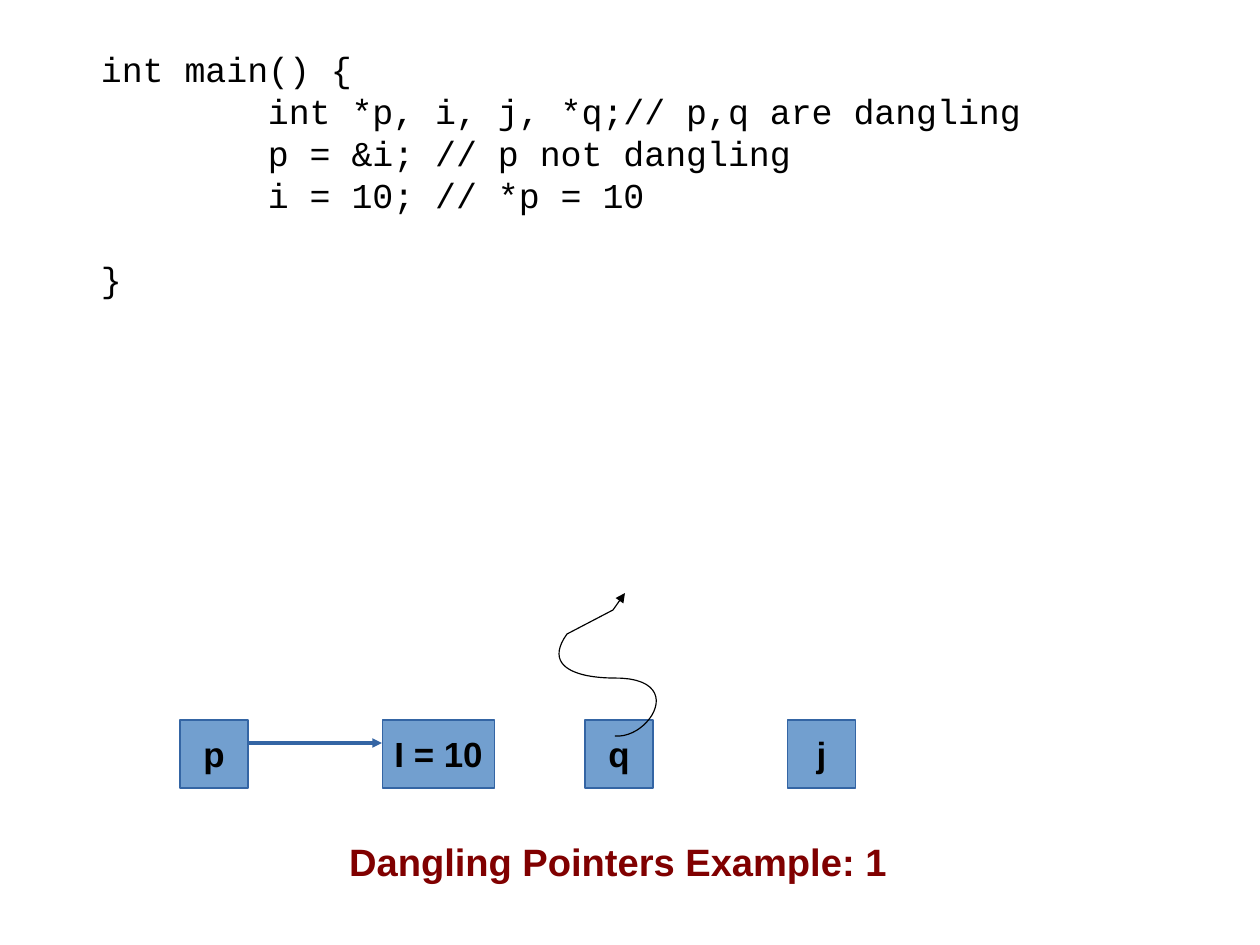
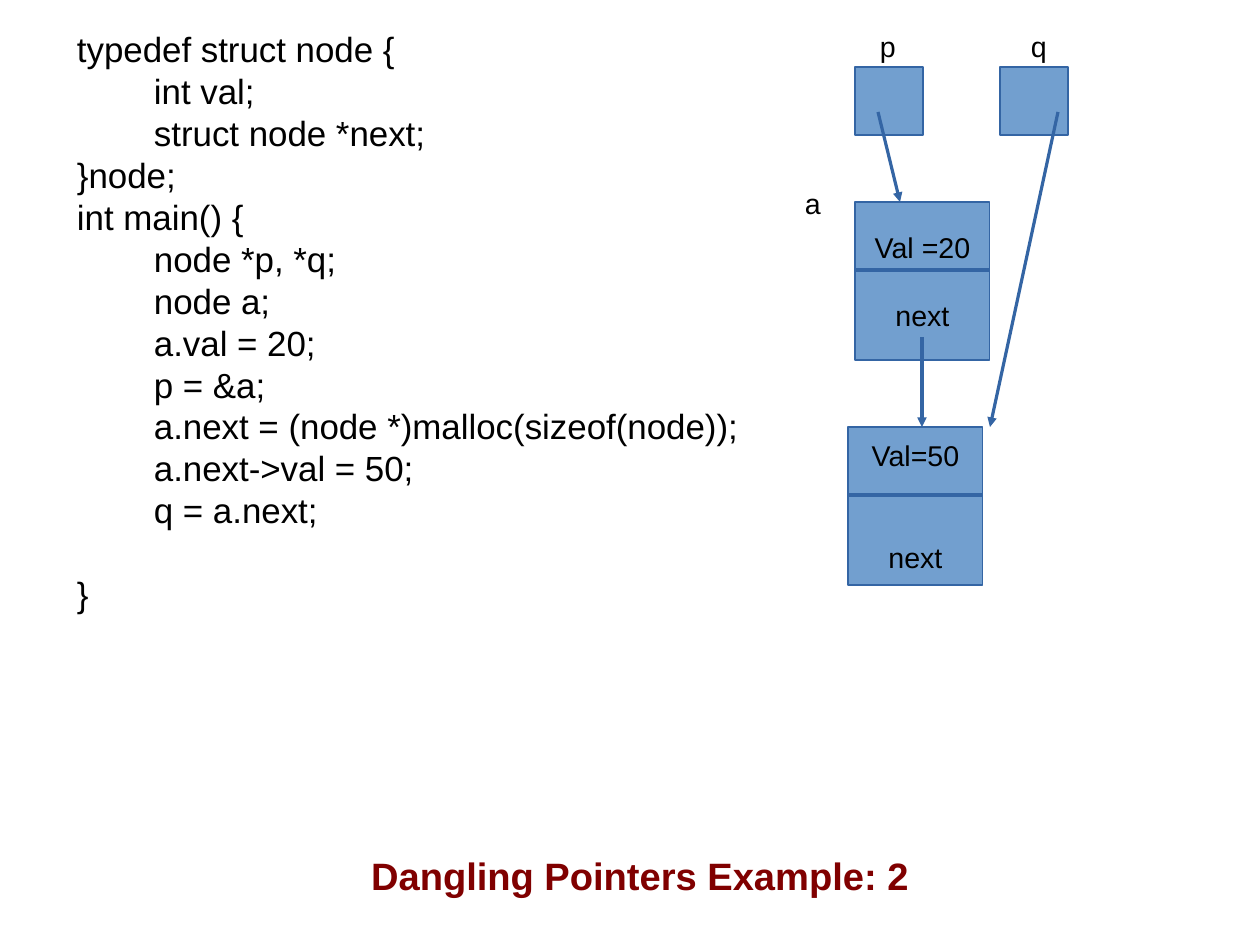
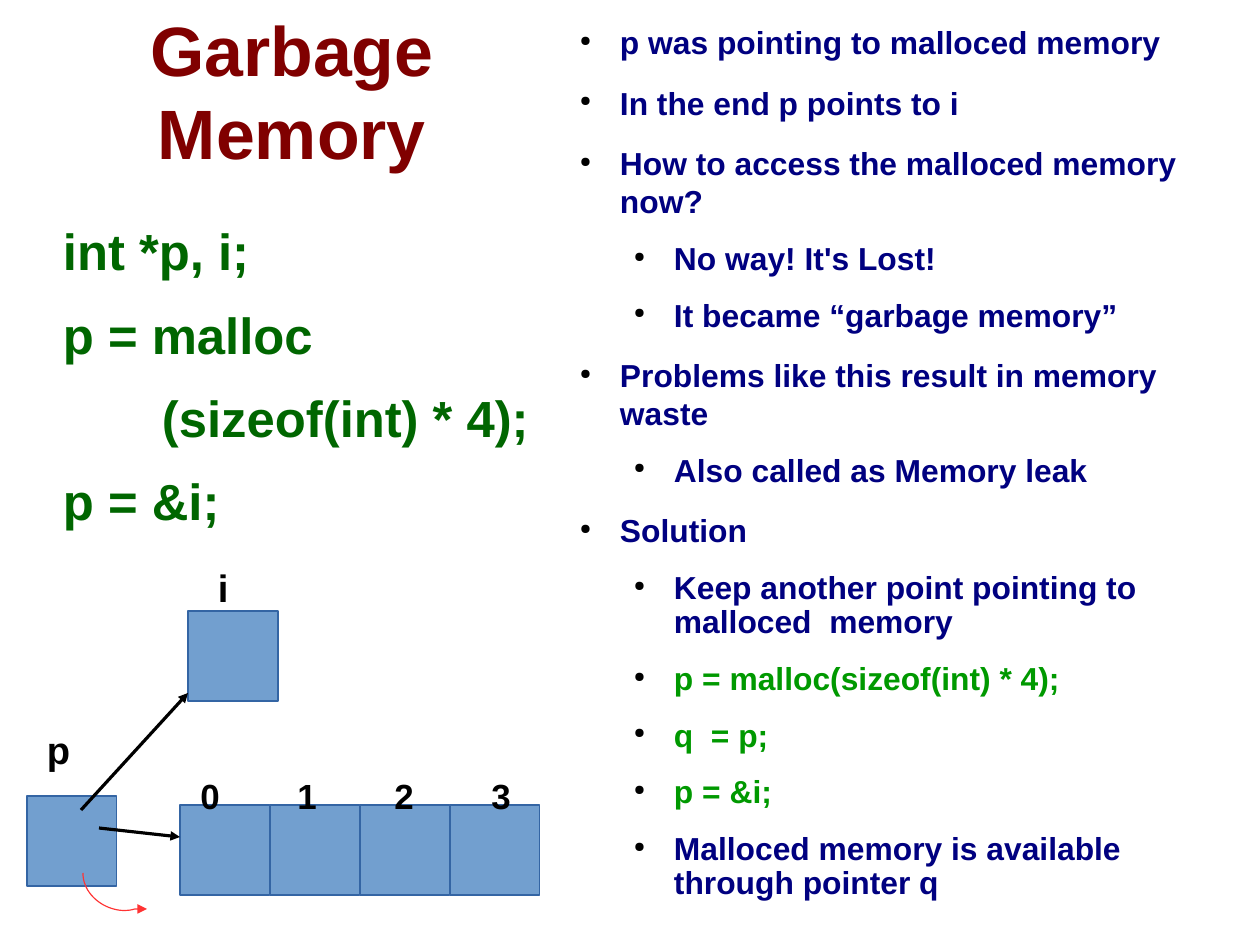
import dataclasses

import lxml.etree
import pptx
import pptx.dml.color
import pptx.enum.shapes
import pptx.enum.text
import pptx.oxml.ns
import pptx.util

PX = 8000  # EMU in one px
SLIDE_WIDTH, SLIDE_HEIGHT = 1260, 945

RGBColor = pptx.dml.color.RGBColor
BLACK = RGBColor(0x00, 0x00, 0x00)
MAROON = RGBColor(0x80, 0x00, 0x00)
NAVY = RGBColor(0x00, 0x00, 0x80)
DARK_GREEN = RGBColor(0x00, 0x66, 0x00)
GREEN = RGBColor(0x00, 0x99, 0x00)
RED = RGBColor(0xFF, 0x33, 0x33)
BOX_FILL = RGBColor(0x72, 0x9F, 0xCF)
BOX_LINE = RGBColor(0x34, 0x65, 0xA4)

LEFT = pptx.enum.text.PP_ALIGN.LEFT
CENTER = pptx.enum.text.PP_ALIGN.CENTER
TOP = pptx.enum.text.MSO_ANCHOR.TOP
MIDDLE = pptx.enum.text.MSO_ANCHOR.MIDDLE

LINE_HEIGHT = 1.2  # line pitch as a share of the text size
INSET = (11, 6)


@dataclasses.dataclass
class Line:
    """One paragraph; skip is the number of line heights left free above it."""
    text: str
    indent: int = 0
    skip: int = 0
    color: RGBColor = None
    hanging: int = 0
    tight: float = 1.0


def emu(*lengths):
    return [pptx.util.Emu(round(length * PX)) for length in lengths]


def append_xml(parent, tag, **attributes):
    return lxml.etree.SubElement(parent, pptx.oxml.ns.qn(tag), attributes)


def write_text(shape, lines, size=22, font="Arial", color=BLACK, bold=False,
               align=LEFT, anchor=TOP, inset=INSET, wrap=True, after=0):
    frame = shape.text_frame
    frame.word_wrap = wrap
    frame.vertical_anchor = anchor
    frame.margin_left, frame.margin_top = emu(*inset)
    frame.margin_right, frame.margin_bottom = emu(*inset)
    for index, line in enumerate(lines):
        paragraph = frame.paragraphs[0] if index == 0 else frame.add_paragraph()
        pitch = size * LINE_HEIGHT
        paragraph.alignment = align
        paragraph.line_spacing = pptx.util.Pt(pitch * line.tight)
        paragraph.space_before = pptx.util.Pt(pitch * line.skip)
        paragraph.space_after = pptx.util.Pt(after)
        run = paragraph.add_run()
        run.text = line.text
        run.font.size = pptx.util.Pt(size)
        run.font.name = font
        run.font.bold = bold
        run.font.color.rgb = line.color or color
        set_indent(paragraph, line)


def set_indent(paragraph, line):
    properties = paragraph._p.get_or_add_pPr()
    properties.set("marL", str(line.indent * PX))
    properties.set("indent", str(-line.hanging * PX))
    if line.hanging:
        bullet_color = append_xml(properties, "a:buClr")
        append_xml(bullet_color, "a:srgbClr", val=str(BLACK))
        append_xml(properties, "a:buSzPct", val="45000")
        append_xml(properties, "a:buChar", char="●")


def add_text(slide, left, top, width, height, lines, **text_format):
    shape = slide.shapes.add_textbox(*emu(left, top, width, height))
    write_text(shape, lines, **text_format)


def add_label(slide, left, top, text, **text_format):
    add_text(slide, left, top, 60, 44, [Line(text)], **text_format)


def add_caption(slide, center, top, text):
    add_text(slide, center - 280, top, 560, 54, [Line(text)],
             size=24, bold=True, color=MAROON, align=CENTER)


def add_box(slide, left, top, width, height, lines=(), **text_format):
    """A memory cell, with centred text if it has any."""
    shape = slide.shapes.add_shape(
        pptx.enum.shapes.MSO_SHAPE.RECTANGLE, *emu(left, top, width, height))
    shape.shadow.inherit = False
    shape.fill.solid()
    shape.fill.fore_color.rgb = BOX_FILL
    style_line(shape, BOX_LINE)
    write_text(shape, lines, align=CENTER, anchor=MIDDLE, wrap=False,
               **text_format)


def style_line(shape, color, arrow=False):
    shape.line.color.rgb = color
    shape.line.width = pptx.util.Pt(0)
    if arrow:
        outline = shape.element.spPr.find(pptx.oxml.ns.qn("a:ln"))
        append_xml(outline, "a:tailEnd", type="triangle")


def add_line(slide, start, end, color=BOX_LINE, arrow=True):
    connector = slide.shapes.add_connector(
        pptx.enum.shapes.MSO_CONNECTOR.STRAIGHT, *emu(*start, *end))
    style_line(connector, color, arrow)
    append_xml(connector.element.spPr, "a:effectLst")


def curve_points(start, control_1, control_2, end, steps=24):
    """Points along a cubic curve, without its start."""
    points = []
    for step in range(1, steps + 1):
        t = step / steps
        weights = ((1 - t) ** 3, 3 * t * (1 - t) ** 2, 3 * t * t * (1 - t), t ** 3)
        corners = (start, control_1, control_2, end)
        points.append(tuple(
            sum(weight * corner[axis] for weight, corner in zip(weights, corners))
            for axis in (0, 1)))
    return points


def add_curved_arrow(slide, points, color):
    builder = slide.shapes.build_freeform(*emu(*points[0]))
    builder.add_line_segments([emu(*point) for point in points[1:]], close=False)
    shape = builder.convert_to_shape()
    shape.shadow.inherit = False
    shape.fill.background()
    style_line(shape, color, arrow=True)


def build_first_example(slide):
    tab = 167
    add_text(slide, 90, 42, 1072, 450, [
        Line("int main() {"),
        Line("int *p, i, j, *q;// p,q are dangling", tab),
        Line("p = &i; // p not dangling", tab),
        Line("i = 10; // *p = 10", tab),
        Line("}", skip=1),
    ], font="Courier New")

    # Variables
    variables = (("p", 68), ("I = 10", 112), ("q", 68), ("j", 68))
    for index, (text, width) in enumerate(variables):
        add_box(slide, 180 + 202.5 * index, 720, width, 68, [Line(text)], bold=True)

    # Pointers: q is dangling, p points to i
    start, waist, neck = (615, 736), (613, 678), (567, 634)
    add_curved_arrow(slide, [
        start,
        *curve_points(start, (650, 739), (688, 677), waist),
        *curve_points(waist, (592, 678), (539, 673), neck),
        (613, 610), (625, 593),
    ], BLACK)
    add_line(slide, (248, 743), (382, 743))
    add_caption(slide, 618, 832, "Dangling Pointers Example: 1")


def build_second_example(slide):
    tab = 77
    add_text(slide, 66, 22, 700, 558, [
        Line("typedef struct node {"),
        Line("int val;", tab),
        Line("struct node *next;", tab),
        Line("}node;"),
        Line("int main() {"),
        Line("node *p, *q;", tab),
        Line("node a;", tab),
        Line("a.val = 20;", tab),
        Line("p = &a;", tab),
        Line("a.next = (node *)malloc(sizeof(node));", tab),
        Line("a.next->val = 50;", tab),
        Line("q = a.next;", tab),
        Line("}", skip=1),
    ])

    # Pointer variables
    for text, box_left, label_left in (("p", 855, 869), ("q", 1000, 1020)):
        add_box(slide, box_left, 67, 68, 68)
        add_label(slide, label_left, 23, text, size=18)
    add_label(slide, 794, 180, "a", size=18)

    # Nodes, each split into value and next
    for left, top, value, skip in ((855, 202, "Val =20", 1), (848, 427, "Val=50", 2)):
        add_box(slide, left, top, 135, 158,
                [Line(value), Line("next", skip=skip)], size=18)
        add_line(slide, (left, top + 68), (left + 135, top + 68), arrow=False)

    # Pointers
    add_line(slide, (878, 112), (900, 202))
    add_line(slide, (922, 337), (922, 427))
    add_line(slide, (1058, 112), (990, 427))
    add_caption(slide, 640, 846, "Dangling Pointers Example: 2")


def bullet(text, level=0, color=NAVY):
    return Line(text, indent=54 * (level + 1), color=color, hanging=40,
                tight=0.9 if level else 1.0)


def build_garbage_memory(slide):
    add_text(slide, 22, 1, 540, 178, [Line("Garbage Memory")], size=44, bold=True,
             color=MAROON, align=CENTER, anchor=MIDDLE, inset=(0, 0))
    add_text(slide, 63, 220, 553, 548, [
        Line("int *p, i;"),
        Line("p = malloc"),
        Line("(sizeof(int) * 4);", 99),
        Line("p = &i;"),
    ], size=32, bold=True, color=DARK_GREEN, inset=(0, 0), after=14.1)

    # Explanation
    add_text(slide, 566, 23, 668, 913, [
        bullet("p was pointing to malloced memory"),
        bullet("In the end p points to i"),
        bullet("How to access the malloced memory now?"),
        bullet("No way! It's Lost!", 1),
        bullet("It became “garbage memory”", 1),
        bullet("Problems like this result in memory waste"),
        bullet("Also called as Memory leak", 1),
        bullet("Solution"),
        bullet("Keep another point pointing to malloced  memory", 1),
        bullet("p = malloc(sizeof(int) * 4);", 1, GREEN),
        bullet("q  = p;", 1, GREEN),
        bullet("p = &i;", 1, GREEN),
        bullet("Malloced memory is available through pointer q", 1),
    ], size=20, bold=True, inset=(0, 0), after=14.1)

    # Variables and the allocated array
    cell = 90
    add_box(slide, 27, 796, cell, cell)
    add_label(slide, 36, 720, "p", size=24, bold=True)
    add_box(slide, 188, 611, cell, cell)
    add_label(slide, 207, 558, "i", size=24, bold=True)
    for index in range(4):
        add_box(slide, 180 + cell * index, 805, cell, cell)
    for index in range(4):
        add_label(slide, 180 + 97 * index, 769, str(index), bold=True, align=CENTER)

    # Pointers
    add_line(slide, (99, 828), (180, 837), BLACK)
    add_line(slide, (81, 810), (188, 693), BLACK)
    start = (83, 873)
    add_curved_arrow(slide, [
        start, *curve_points(start, (83, 898), (112, 916), (135, 909)), (147, 909),
    ], RED)


def main():
    presentation = pptx.Presentation()
    presentation.slide_width, presentation.slide_height = emu(SLIDE_WIDTH, SLIDE_HEIGHT)
    blank = presentation.slide_layouts[6]
    for build in (build_first_example, build_second_example, build_garbage_memory):
        build(presentation.slides.add_slide(blank))
    presentation.save("out.pptx")


if __name__ == "__main__":
    main()
